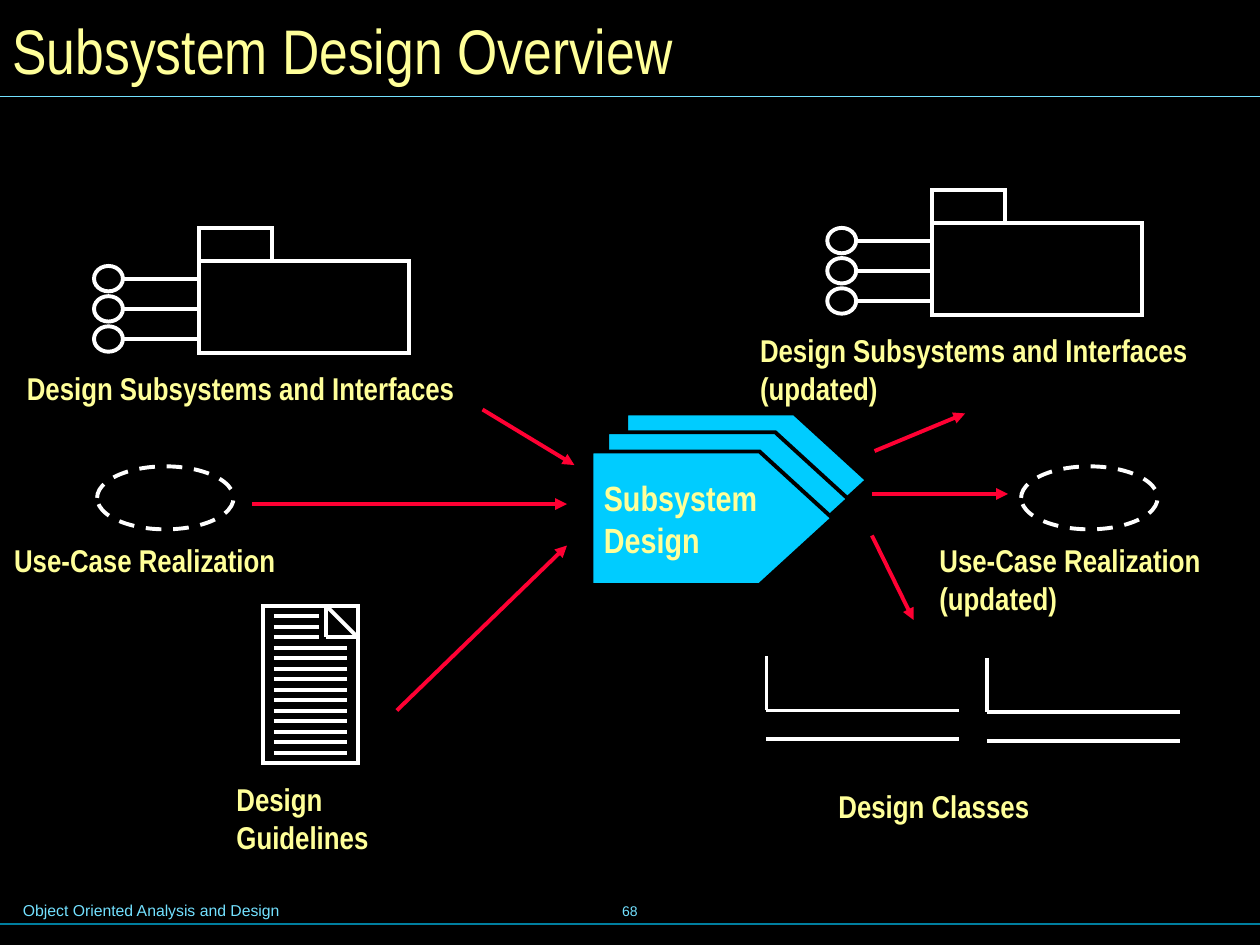
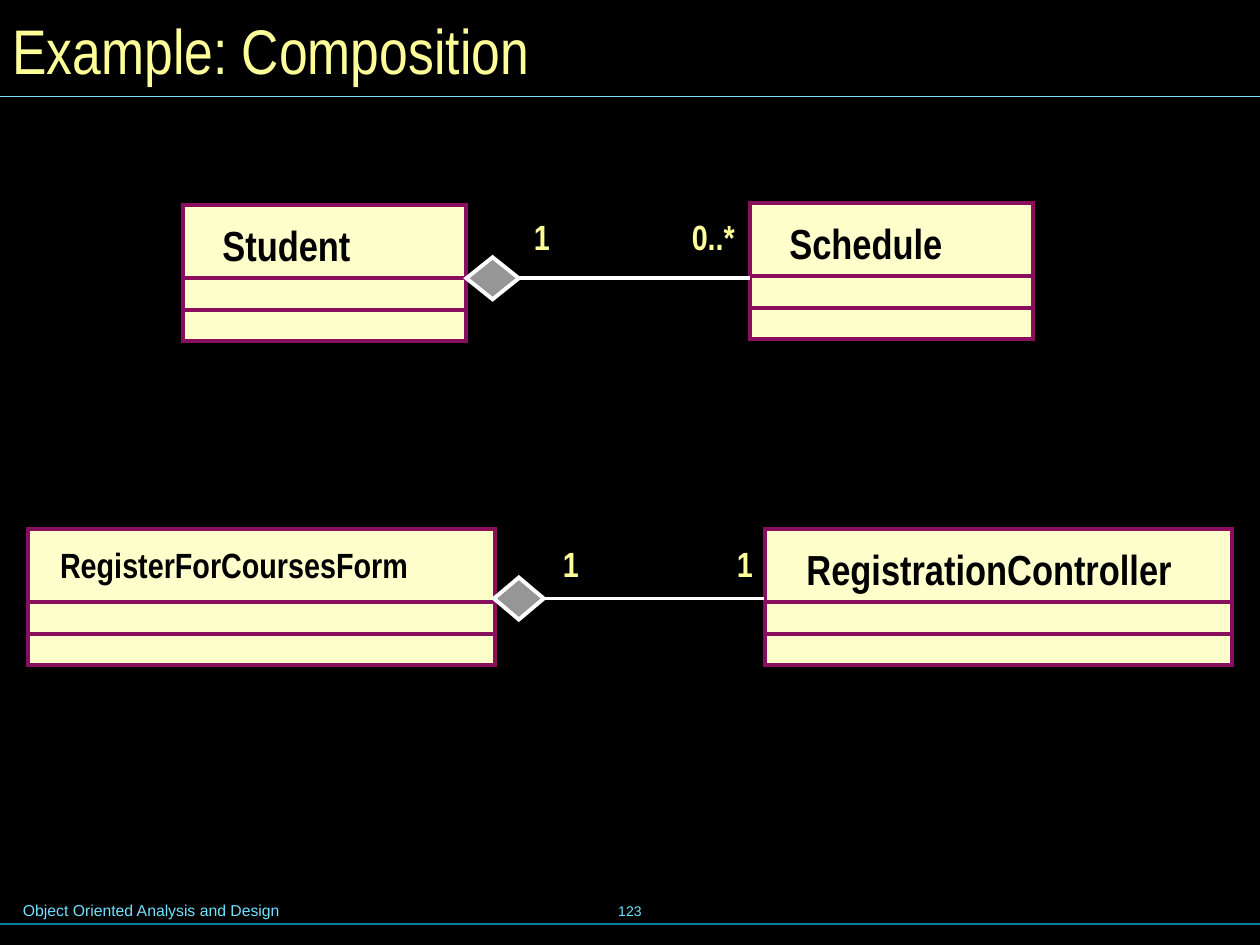
from dataclasses import dataclass

from lxml.etree import SubElement
from pptx import Presentation
from pptx.dml.color import RGBColor as RGB
from pptx.enum.dml import MSO_LINE as Dash
from pptx.enum.shapes import MSO_CONNECTOR as Conn, MSO_SHAPE as Kind
from pptx.enum.text import MSO_ANCHOR as Anchor, PP_ALIGN as Align
from pptx.oxml.ns import qn
from pptx.util import Pt


@dataclass(frozen=True)
class Theme:
    black: str = "000000"
    white: str = "FFFFFF"
    yellow: str = "FFFF99"
    cream: str = "FFFFCC"
    plum: str = "8A0E5E"
    gray: str = "969696"
    blue: str = "00CCFF"
    red: str = "FF0033"
    sky: str = "73E1FF"
    teal: str = "007E9F"
    head: str = "Arial Narrow"
    body: str = "Arial"
    title: int = 36
    name: int = 24
    mid: int = 20
    label: int = 18
    foot: int = 9
    page: int = 8
    pen: float = 2.25
    hair: float = 0.75


T = Theme()


def put(shapes, box, kind=None, fill=None, line=None, text=(), size=T.label,
        color=T.yellow, font=T.head, bold=True, align=Align.LEFT,
        anchor=Anchor.TOP, dash=None):
    """Add a text box, a preset shape (kind) or an outline (kind is a point list)."""
    x, y, w, h = (Pt(n) for n in box)
    if kind is None:
        item = shapes.add_textbox(x, y, w, h)
    elif isinstance(kind, list):
        pts = [(x + Pt(a), y + Pt(b)) for a, b in kind]
        path = shapes.build_freeform(*pts[0])
        path.add_line_segments(pts[1:], close=True)
        item = path.convert_to_shape()
    else:
        item = shapes.add_shape(kind, x, y, w, h)
    if kind is not None:
        item.shadow.inherit = False
        item.line.color.rgb = RGB.from_string(line)
        item.line.width = Pt(T.pen)
        if dash:
            item.line.dash_style = dash
        SubElement(item.line._get_or_add_ln(), qn("a:miter"), lim="800000")
        if fill:
            item.fill.solid()
            item.fill.fore_color.rgb = RGB.from_string(fill)
        else:
            item.fill.background()
    frame = item.text_frame
    frame.word_wrap = True
    frame.vertical_anchor = anchor
    for i, words in enumerate(text):
        para = frame.add_paragraph() if i else frame.paragraphs[0]
        para.alignment = align
        for j, part in enumerate(words.split("\n")):
            if j:
                para.add_line_break()
            run = para.add_run()
            run.text = part
            run.font.name, run.font.size, run.font.bold = font, Pt(size), bold
            run.font.color.rgb = RGB.from_string(color)


def rule(shapes, x1, y1, x2, y2, color=T.white, width=T.pen, arrow=False):
    item = shapes.add_connector(Conn.STRAIGHT, Pt(x1), Pt(y1), Pt(x2), Pt(y2))
    item.line.color.rgb = RGB.from_string(color)
    item.line.width = Pt(width)
    if arrow:
        SubElement(item.line._get_or_add_ln(), qn("a:tailEnd"), type="triangle")
    SubElement(item._element.spPr, qn("a:effectLst"))


deck = Presentation()
deck.slide_width, deck.slide_height = Pt(720), Pt(540)

# Shared frame: background, footer, rules and title
pages = []
for title, num in (("Subsystem Design Overview", "68"), ("Example: Composition", "123")):
    slide = deck.slides.add_slide(deck.slide_layouts[6])
    slide.background.fill.solid()
    slide.background.fill.fore_color.rgb = RGB.from_string(T.black)
    art = slide.shapes
    put(art, (6, 511.2, 367, 18), text=["Object Oriented Analysis and Design"],
        size=T.foot, color=T.sky, font=T.body, bold=False)
    put(art, (246, 502.5, 228, 36), text=[num], size=T.page, color=T.sky,
        font=T.body, bold=False, align=Align.CENTER, anchor=Anchor.MIDDLE)
    rule(art, 0, 528, 720, 528, T.teal, T.hair)
    rule(art, 0, 55, 720, 55, T.sky, T.hair)
    put(art, (0, 0, 715, 56), text=[title], size=T.title, bold=False,
        anchor=Anchor.MIDDLE)
    pages.append(art)
flow, model = pages

# Subsystem design: stacked activity arrows
tag = [(0, 0), (96, 0), (137.75, 38.15), (96, 76.3), (0, 76.3)]
for x, y, words in ((357.8, 236.2, ()), (347, 247, ()),
                    (338, 258, ["Subsystem", "Design"])):
    put(flow, (x, y, 137.75, 76.3), tag, T.blue, T.black, words, T.mid,
        anchor=Anchor.MIDDLE)

# Use-case realizations
for x, left, words in ((55.5, 1, ["Use-Case Realization"]),
                       (583.5, 529.75, ["Use-Case Realization", "(updated)"])):
    put(flow, (x, 266.5, 78, 36), Kind.OVAL, line=T.white, dash=Dash.DASH)
    put(flow, (left, 305.5, 180, 22 * len(words) + 7), text=words)

# Subsystem packages with three interfaces each
for x, y, words in ((113.75, 149, ["Design Subsystems and Interfaces"]),
                    (532.75, 127.25, ["Design Subsystems and Interfaces", "(updated)"])):
    put(flow, (x, y, 119.75, 52.75), Kind.RECTANGLE, line=T.white)
    put(flow, (x, y - 18.75, 41.75, 18.75), Kind.RECTANGLE, line=T.white)
    for i in range(3):
        top = y + 3 + i * 17.25
        put(flow, (x - 60, top, 16.5, 14.5), Kind.OVAL, line=T.white)
        rule(flow, x - 43.5, top + 7.25, x, top + 7.25)
    put(flow, (x - 105.5, y + 58.5, 280, 22 * len(words) + 7), text=words)

# Design classes
for x, y in ((438, 375), (564, 376)):
    rule(flow, x, y, x, y + 31)
    for drop in (31, 47.5):
        rule(flow, x, y + drop, x + 110.25, y + drop)
put(flow, (472, 446.25, 168, 29), text=["Design Classes"])

# Design guidelines: a page with a folded corner
x, y = 150.5, 346.25
put(flow, (x, y, 54, 90), Kind.RECTANGLE, line=T.white)
for a, b, c, d in ((36, 0, 54, 18), (36, 0, 36, 18), (36, 18, 54, 18)):
    rule(flow, x + a, y + b, x + c, y + d)
for i in range(14):
    row = y + 6 * (i + 1)
    rule(flow, x + 6, row, x + (32 if i < 3 else 48), row)
put(flow, (128, 442, 110, 51), text=["Design\nGuidelines"])

# Inputs and outputs
for ends in ((144, 288, 324, 288), (498.25, 282.25, 576, 282.25),
             (275.75, 234, 328.25, 265.75), (499.75, 257.75, 551.5, 236.25),
             (498.25, 306, 522, 354.25), (226.75, 406, 324, 311.75)):
    rule(flow, *ends, color=T.red, arrow=True)

# Classes: left, top, width, name, type size, name indent
for x, y, w, name, size, dent in (
        (104.5, 117.25, 162, "Student", T.name, 15.5),
        (428.5, 116, 162, "Schedule", T.name, 15.5),
        (15.75, 302.5, 267, "RegisterForCoursesForm", T.mid, 11.5),
        (437, 302.5, 267, "RegistrationController", T.name, 16.75)):
    put(model, (x, y, w, 77.75), Kind.RECTANGLE, T.cream, T.plum)
    for drop in (41.5, 60):
        rule(model, x, y + drop, x + w, y + drop, T.plum)
    put(model, (x + dent, y + 4.75, w - 2 * dent, 36), text=[name],
        size=size, color=T.black)

# Compositions: diamond left, top and width, line end, counts and their places
for x, y, w, end, near, far, start, stop, top in (
        (266.5, 147, 30, 428.5, "1", "0..*", 298, 427, 119.5),
        (282.25, 330, 28.5, 436.5, "1", "1", 314.5, 437.25, 306.5)):
    rule(model, x + w, y + 12, end, y + 12)
    put(model, (x, y, w, 24), Kind.DIAMOND, T.gray, T.white)
    put(model, (start, top, 60, 32), text=[near], size=T.mid)
    put(model, (stop - 60, top, 60, 32), text=[far], size=T.mid, align=Align.RIGHT)

deck.save("out.pptx")
